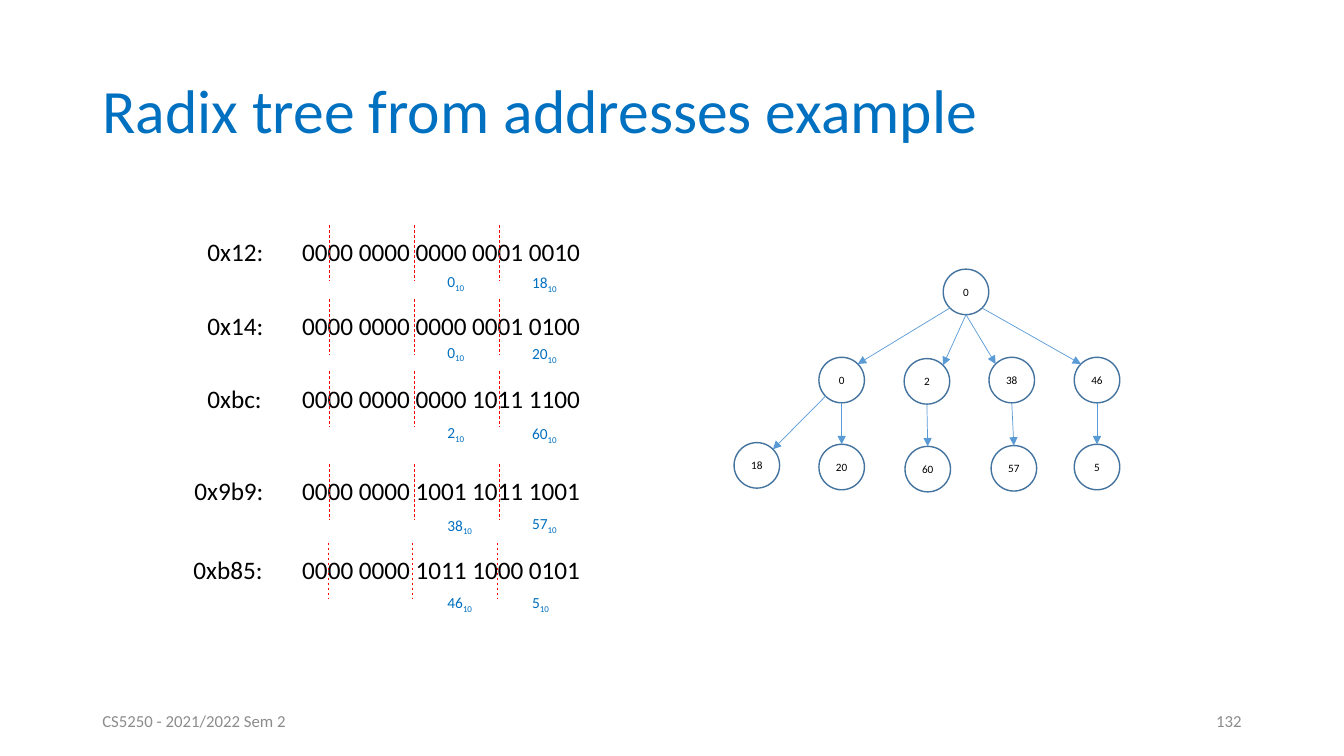
"""Build a slide that derives a radix tree from five addresses."""
from dataclasses import dataclass
from math import cos, pi, sin

from lxml.etree import SubElement
from pptx import Presentation
from pptx.dml.color import RGBColor
from pptx.enum.dml import MSO_LINE
from pptx.enum.shapes import MSO_CONNECTOR, MSO_SHAPE
from pptx.enum.text import MSO_ANCHOR as Anchor, PP_ALIGN as Align
from pptx.oxml.ns import qn
from pptx.shapes.autoshape import Shape
from pptx.shapes.connector import Connector
from pptx.slide import Slide
from pptx.text.text import _Paragraph as Paragraph
from pptx.util import Emu, Inches, Pt

SLIDE_WIDTH, SLIDE_HEIGHT = Inches(13.333), Inches(7.5)
COLUMN, ROW = SLIDE_WIDTH / 160, SLIDE_HEIGHT / 90

FONT = "Calibri"
BLACK = RGBColor(0x00, 0x00, 0x00)
GRAY = RGBColor(0x8C, 0x8C, 0x8C)
BLUE = RGBColor(0x00, 0x70, 0xC0)
RED = RGBColor(0xFF, 0x00, 0x00)
NODE_OUTLINE = RGBColor(0x43, 0x73, 0x9E)
ARROW_BLUE = RGBColor(0x5B, 0x9B, 0xD5)

BITS_LEFT, ADDRESS_RIGHT = 36, 71
TEXT_INSET = 1.2
DIGIT_STEP = 10.08
DIGIT_LEFT = 52.08
DIVIDER_COUNT, DIVIDER_RISE, DIVIDER_HEIGHT = 3, 0.8, 6.66
NODE_SIZE = 5.42
TOP, TOP_LEFT, BOTTOM_LEFT, BOTTOM, BOTTOM_RIGHT, TOP_RIGHT = 0, 1, 3, 4, 5, 7


@dataclass(frozen=True)
class Address:
    name: str
    bits: str
    left: float
    top: float
    digits: tuple[str, str]
    digit_tops: tuple[float, float]
    first_divider: float = 39.24


@dataclass(frozen=True)
class Node:
    value: str
    column: float
    row: float

    def site(self, index: int) -> tuple[float, float]:
        """Return a connection site, counted anticlockwise from the top."""
        angle, radius = index * pi / 4, NODE_SIZE / 2
        return self.column - radius * sin(angle), self.row - radius * cos(angle)


@dataclass(frozen=True)
class Edge:
    parent: Node
    child: Node
    start: int = BOTTOM
    end: int = TOP


ADDRESSES = (
    Address("0x12", "0000 0000 0000 0001 0010", 23.52, 27.6, ("0", "18"), (31.8, 31.9)),
    Address("0x14", "0000 0000 0000 0001 0100", 23.52, 36.36, ("0", "20"), (40.2, 40.4)),
    Address("0xbc", "0000 0000 0000 1011 1100", 23.52, 45, ("2", "60"), (49.8, 49.9)),
    Address("0x9b9", "0000 0000 1001 1011 1001", 21.96, 56, ("38", "57"), (60.8, 60.6)),
    Address("0xb85", "0000 0000 1011 1000 0101", 21.84, 65.4, ("46", "5"), (70, 70), 39.04),
)

ROOT = Node("0", 115, 34.75)
BRANCHES = (Node("0", 100.2, 45.25), Node("2", 110.35, 45.4),
            Node("38", 120.45, 45.25), Node("46", 130.6, 45.25))
LEAVES = (Node("18", 90.1, 55.4), Node("20", 100.2, 55.6), Node("60", 110.45, 55.85),
          Node("57", 120.7, 55.75), Node("5", 130.6, 55.6))
EDGES = (
    Edge(ROOT, BRANCHES[0], BOTTOM_LEFT, TOP_RIGHT),
    Edge(ROOT, BRANCHES[1], BOTTOM, TOP_RIGHT),
    Edge(ROOT, BRANCHES[2], BOTTOM, TOP_LEFT),
    Edge(ROOT, BRANCHES[3], BOTTOM_RIGHT, TOP_LEFT),
    Edge(BRANCHES[0], LEAVES[0], BOTTOM_LEFT, TOP_RIGHT),
    *(Edge(branch, leaf) for branch, leaf in zip(BRANCHES, LEAVES[1:])),
)


def columns(count: float) -> Emu:
    """Convert grid columns to a length."""
    return Emu(round(count * COLUMN))


def rows(count: float) -> Emu:
    """Convert grid rows to a length."""
    return Emu(round(count * ROW))


def style(paragraph: Paragraph, size: float, color: RGBColor, align: Align = Align.LEFT) -> None:
    """Set the font and alignment of a paragraph."""
    paragraph.alignment = align
    font = paragraph.font
    font.name, font.size = FONT, Pt(size)
    font.color.rgb = color


def add_text(slide: Slide, left: float, top: float, width: float, height: float,
             wrap: bool = True, anchor: Anchor = Anchor.TOP) -> Paragraph:
    """Add a text box and return its first paragraph."""
    frame = slide.shapes.add_textbox(
        columns(left), rows(top), columns(width), rows(height)).text_frame
    frame.word_wrap, frame.vertical_anchor = wrap, anchor
    return frame.paragraphs[0]


def add_line(slide: Slide, start: tuple[float, float], end: tuple[float, float],
             color: RGBColor) -> Connector:
    """Add a thin straight line without a shadow."""
    line = slide.shapes.add_connector(
        MSO_CONNECTOR.STRAIGHT, columns(start[0]), rows(start[1]), columns(end[0]), rows(end[1]))
    line.line.color.rgb, line.line.width = color, Pt(0.5)
    SubElement(line._element.spPr, qn("a:effectLst"))
    return line


def add_address(slide: Slide, address: Address) -> None:
    """Add an address, its bit dividers and its decimal digits."""
    paragraph = add_text(slide, address.left, address.top, ADDRESS_RIGHT - address.left, 4.8)
    paragraph.text = f"{address.name}:\t{address.bits}"
    tabs = SubElement(paragraph._p.get_or_add_pPr(), qn("a:tabLst"))
    tab_position = columns(BITS_LEFT - address.left - TEXT_INSET)
    SubElement(tabs, qn("a:tab"), pos=str(int(tab_position)), algn="l")
    style(paragraph, 18, BLACK)

    top = address.top - DIVIDER_RISE
    for index in range(DIVIDER_COUNT):
        column = address.first_divider + index * DIGIT_STEP
        divider = add_line(slide, (column, top), (column, top + DIVIDER_HEIGHT), RED)
        divider.line.dash_style = MSO_LINE.DASH

    for index, (digit, digit_top) in enumerate(zip(address.digits, address.digit_tops)):
        label = add_text(slide, DIGIT_LEFT + index * DIGIT_STEP, digit_top,
                         3.84 + 0.84 * len(digit), 3.48, wrap=False)
        label.add_run().text = digit
        base = label.add_run()
        base.text = "10"
        base.font._element.set("baseline", "-25000")
        style(label, 11, BLUE)


def add_node(slide: Slide, node: Node) -> Shape:
    """Add a round tree node."""
    shape = slide.shapes.add_shape(
        MSO_SHAPE.OVAL, columns(node.column - NODE_SIZE / 2), rows(node.row - NODE_SIZE / 2),
        columns(NODE_SIZE), rows(NODE_SIZE))
    shape.shadow.inherit = False
    shape.fill.background()
    shape.line.color.rgb, shape.line.width = NODE_OUTLINE, Pt(1)
    frame = shape.text_frame
    frame.word_wrap, frame.vertical_anchor = False, Anchor.MIDDLE
    frame.paragraphs[0].text = node.value
    style(frame.paragraphs[0], 8, BLACK, Align.CENTER)
    return shape


def add_edge(slide: Slide, edge: Edge, shapes: dict[Node, Shape]) -> None:
    """Add an arrow joined to the parent and child nodes."""
    arrow = add_line(slide, edge.parent.site(edge.start), edge.child.site(edge.end), ARROW_BLUE)
    SubElement(arrow.line._get_or_add_ln(), qn("a:tailEnd"), type="triangle")
    joints = arrow._element.nvCxnSpPr.cNvCxnSpPr
    for tag, node, site in (("a:stCxn", edge.parent, edge.start),
                            ("a:endCxn", edge.child, edge.end)):
        SubElement(joints, qn(tag), id=str(shapes[node].shape_id), idx=str(site))


def main() -> None:
    """Build and save the presentation."""
    presentation = Presentation()
    presentation.slide_width, presentation.slide_height = SLIDE_WIDTH, SLIDE_HEIGHT
    slide = presentation.slides.add_slide(presentation.slide_layouts[6])

    title = add_text(slide, 11, 4.8, 138, 17.4, anchor=Anchor.MIDDLE)
    title.text, title.line_spacing = "Radix tree from addresses example", 0.9
    style(title, 44, BLUE)
    for address in ADDRESSES:
        add_address(slide, address)
    shapes = {node: add_node(slide, node) for node in (ROOT, *BRANCHES, *LEAVES)}
    for edge in EDGES:
        add_edge(slide, edge, shapes)
    for text, left, align in (("CS5250 - 2021/2022 Sem 2", 11, Align.LEFT),
                              ("132", 113, Align.RIGHT)):
        footer = add_text(slide, left, 83.4, 36, 4.8, anchor=Anchor.MIDDLE)
        footer.text = text
        style(footer, 12, GRAY, align)
    presentation.save("out.pptx")


if __name__ == "__main__":
    main()
